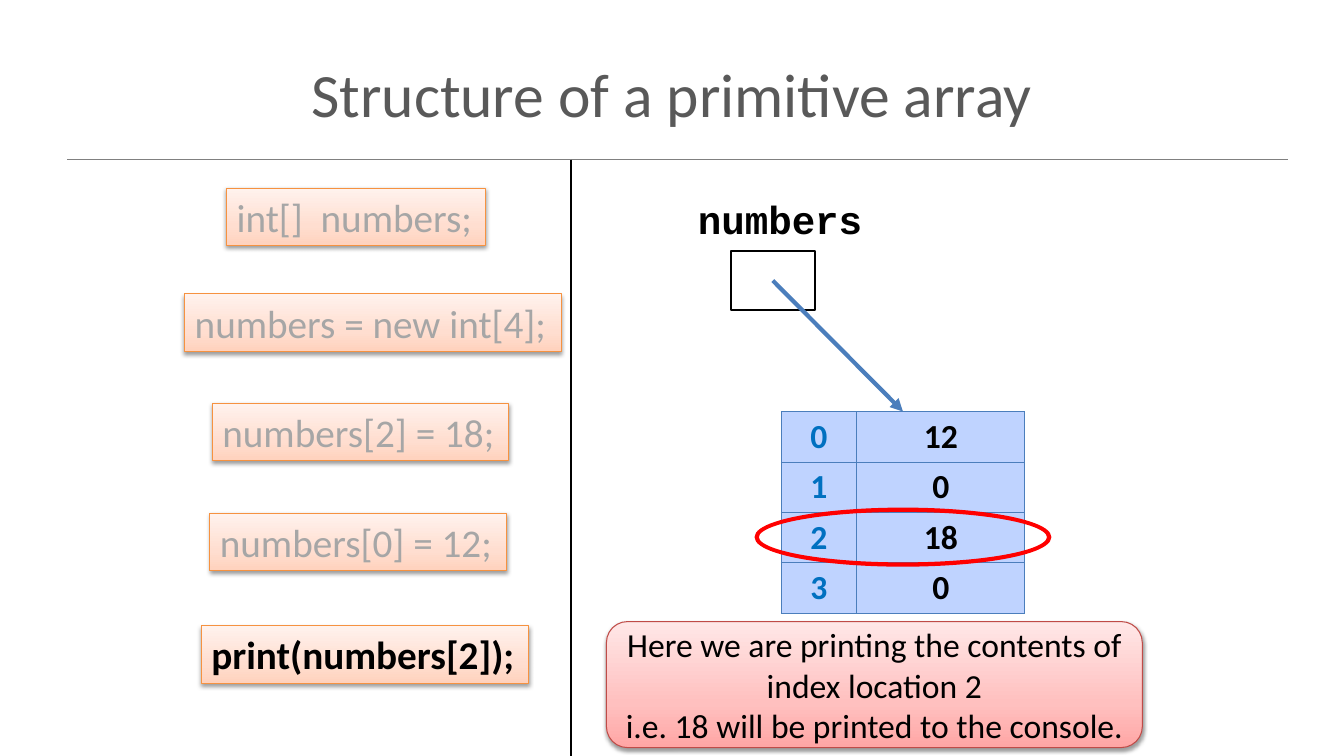
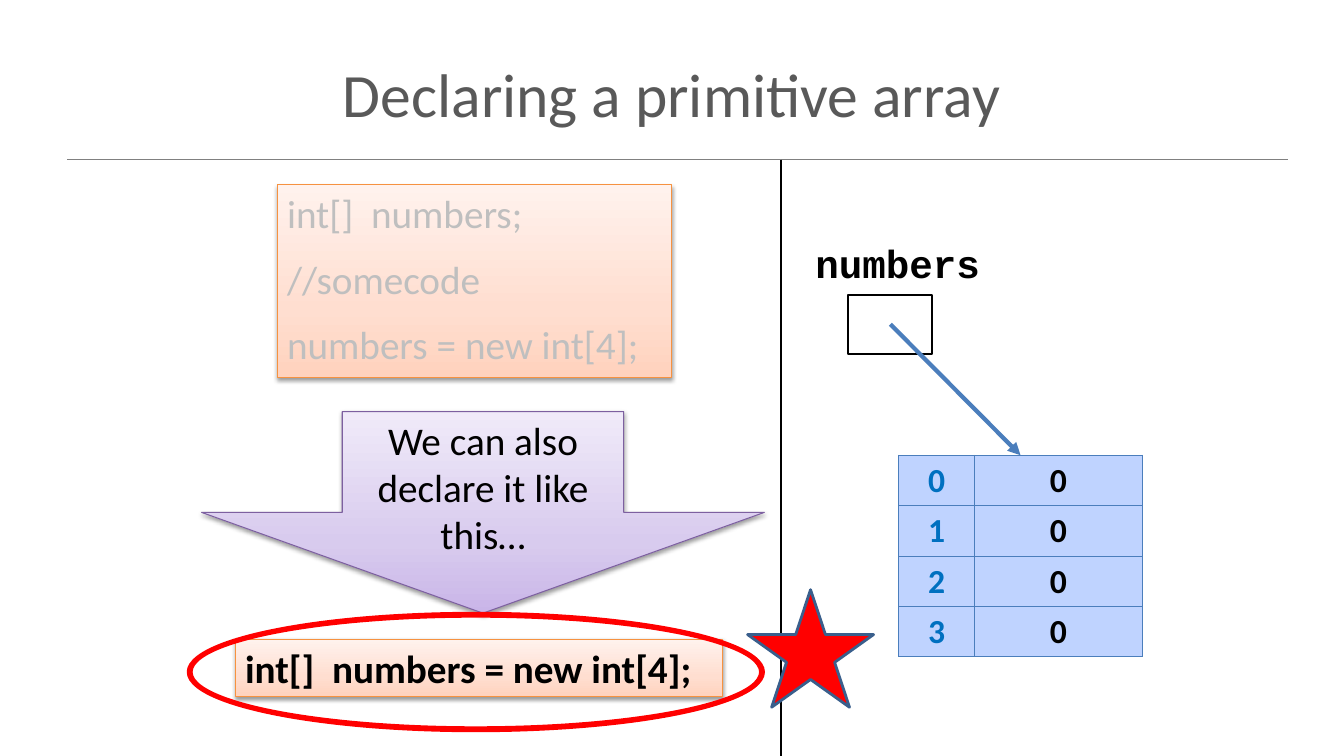
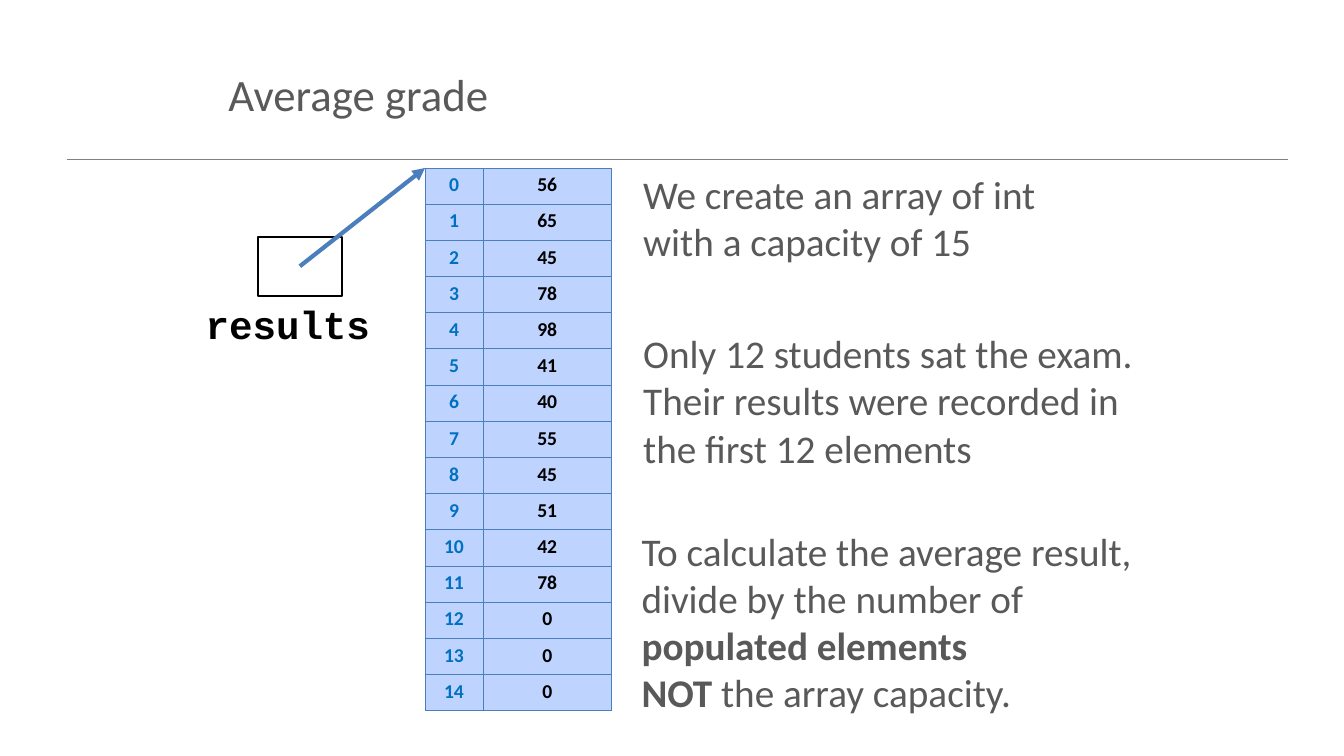
"""Build three slides on primitive arrays, laid out on a grid of 160 by 90 units."""
from copy import deepcopy

from lxml import etree
from pptx import Presentation
from pptx.dml.color import RGBColor
from pptx.enum.shapes import MSO_CONNECTOR, MSO_SHAPE
from pptx.enum.text import MSO_ANCHOR, PP_ALIGN
from pptx.oxml.ns import qn
from pptx.util import Inches, Pt

UNIT = Inches(1) // 12
COLUMNS, ROWS = 160, 90
TITLE_AREA = (8, 3.6, 144, 15)
RULE_ROW = 19
LINE_HEIGHT = 6.87
REFERENCE_SIZE = (10, 7)
STRAIGHT = MSO_CONNECTOR.STRAIGHT
RECT, ROUNDED = MSO_SHAPE.RECTANGLE, MSO_SHAPE.ROUNDED_RECTANGLE
DOWN_ARROW, STAR = MSO_SHAPE.DOWN_ARROW, MSO_SHAPE.STAR_5_POINT
RING = MSO_SHAPE.DONUT
LEFT, CENTER = PP_ALIGN.LEFT, PP_ALIGN.CENTER
TOP, MIDDLE = MSO_ANCHOR.TOP, MSO_ANCHOR.MIDDLE

SANS, MONO = "Calibri", "Courier New"
BLACK = RGBColor(0x00, 0x00, 0x00)
SLATE = RGBColor(0x59, 0x59, 0x59)
RULE_GRAY = RGBColor(0x80, 0x80, 0x80)
DIMMED = RGBColor(0xA6, 0xA6, 0xA6)
FADED = RGBColor(0xBF, 0xBF, 0xBF)
RED = RGBColor(0xFF, 0x00, 0x00)
STAR_EDGE = RGBColor(0x3A, 0x5F, 0x8C)
BLUE = RGBColor(0x4B, 0x7E, 0xBC)
INDEX_BLUE = RGBColor(0x00, 0x70, 0xC0)
CELL_BLUE = RGBColor(0xBF, 0xD3, 0xFF)
ORANGE_EDGE = RGBColor(0xF6, 0x92, 0x40)
ROSE_EDGE = RGBColor(0xBF, 0x4C, 0x48)
VIOLET_EDGE = RGBColor(0x7D, 0x60, 0xA0)
ORANGE = (RGBColor(0xFF, 0xD2, 0xBD), RGBColor(0xFF, 0xDE, 0xD0), RGBColor(0xFF, 0xF2, 0xED))
ROSE = (RGBColor(0xFF, 0xA6, 0xA5), RGBColor(0xFF, 0xC0, 0xBF), RGBColor(0xFF, 0xE7, 0xE7))
VIOLET = (RGBColor(0xC9, 0xB5, 0xE8), RGBColor(0xD8, 0xCB, 0xEE), RGBColor(0xF0, 0xEA, 0xF9))
GRADIENT_POSITIONS = (0, 0.35, 1)


def grid(*units):
    """Turn grid units into slide lengths."""
    return [round(unit * UNIT) for unit in units]


def write(frame, paragraphs, size=28, color=SLATE, font=SANS, align=LEFT,
          anchor=TOP, wraps=True, gap=0):
    """Write paragraphs, each a list of (text, bold) runs, into a text frame."""
    frame.word_wrap = wraps
    frame.vertical_anchor = anchor
    for number, runs in enumerate(paragraphs):
        paragraph = frame.add_paragraph() if number else frame.paragraphs[0]
        paragraph.alignment = align
        if number and gap:
            paragraph.space_before = Pt(gap)
        for text, bold in runs:
            for line_number, line in enumerate(text.split("\n")):
                if line_number:
                    paragraph.add_line_break()
                run = paragraph.add_run()
                run.text = line
                run.font.name, run.font.size = font, Pt(size)
                run.font.bold, run.font.color.rgb = bold, color


def add_line(slide, start, end, color, width, arrow=False):
    """Draw a straight line between two grid points."""
    line = slide.shapes.add_connector(STRAIGHT, *grid(*start, *end))
    line.line.color.rgb, line.line.width = color, Pt(width)
    properties = line.element.spPr
    if arrow:
        etree.SubElement(properties.find(qn("a:ln")), qn("a:tailEnd"), type="triangle")
    etree.SubElement(properties, qn("a:effectLst"))
    return line


def add_outline(slide, preset, area, edge, width, fill=None):
    """Draw a flat shape with an optional solid fill."""
    shape = slide.shapes.add_shape(preset, *grid(*area))
    shape.shadow.inherit = False
    shape.line.color.rgb, shape.line.width = edge, Pt(width)
    if fill is None:
        shape.fill.background()
    else:
        shape.fill.solid()
        shape.fill.fore_color.rgb = fill
    return shape


def add_panel(slide, preset, area, colors, edge):
    """Draw a gradient shape with a soft shadow beneath it."""
    panel = add_outline(slide, preset, area, edge, 0.75)
    panel.fill.gradient()
    panel.fill.gradient_angle = 90
    properties = panel.element.spPr
    stop_list = properties.find(".//" + qn("a:gsLst"))
    stop_list.append(deepcopy(stop_list[0]))
    for stop, position, color in zip(panel.fill.gradient_stops, GRADIENT_POSITIONS, colors):
        stop.position, stop.color.rgb = position, color
    shadow = etree.SubElement(properties.find(qn("a:effectLst")), qn("a:outerShdw"),
                              blurRad=str(Pt(3.1)), dist=str(Pt(1.6)),
                              dir="5400000", rotWithShape="0")
    black = etree.SubElement(shadow, qn("a:srgbClr"), val=str(BLACK))
    etree.SubElement(black, qn("a:alpha"), val="38000")
    return panel


def add_code(slide, area, lines, color=DIMMED, bold=False, wraps=False):
    """Add an orange box of code lines."""
    panel = add_panel(slide, RECT, area, ORANGE, ORANGE_EDGE)
    write(panel.text_frame, [[(line, bold)] for line in lines],
          color=color, wraps=wraps, gap=13)


def add_text(slide, area, runs, **style):
    """Add a plain text box with one paragraph."""
    write(slide.shapes.add_textbox(*grid(*area)).text_frame, [runs], **style)


def add_ring(slide, area):
    """Circle a part of the slide in red."""
    ring = add_outline(slide, RING, area, RED, 2, RED)
    ring.adjustments[0] = 0.026


def format_cell(cell, text, color, size):
    """Write one array cell with its borders and fill."""
    properties = cell._tc.get_or_add_tcPr()
    for side in ("a:lnL", "a:lnR", "a:lnT", "a:lnB"):
        border = etree.SubElement(properties, qn(side), w=str(Pt(0.75)))
        paint = etree.SubElement(border, qn("a:solidFill"))
        etree.SubElement(paint, qn("a:srgbClr"), val=str(BLUE))
    cell.fill.solid()
    cell.fill.fore_color.rgb = CELL_BLUE
    cell.margin_top, cell.margin_bottom = Inches(0.05), Inches(0.04)
    write(cell.text_frame, [[(text, True)]], size=size, color=color, align=CENTER)


def add_array(slide, corner, values, widths, row_height, size):
    """Add a table of indexes and values."""
    area = grid(*corner, sum(widths), row_height * len(values))
    table = slide.shapes.add_table(len(values), 2, *area).table
    table.first_row = table.horz_banding = False
    for column, width in zip(table.columns, grid(*widths)):
        column.width = width
    for index, value in enumerate(values):
        table.rows[index].height = grid(row_height)[0]
        format_cell(table.cell(index, 0), str(index), INDEX_BLUE, size)
        format_cell(table.cell(index, 1), str(value), BLACK, size)


def add_reference(slide, name, corner, label_corner, target):
    """Draw a named variable box with an arrow to its array."""
    add_outline(slide, RECT, (*corner, *REFERENCE_SIZE), BLACK, 1.5)
    add_text(slide, (*label_corner, 25, LINE_HEIGHT), [(name, True)], color=BLACK, font=MONO)
    center = [start + length / 2 for start, length in zip(corner, REFERENCE_SIZE)]
    add_line(slide, center, target, BLUE, 3, arrow=True)


def add_numbers_diagram(slide, column, row, values):
    """Draw the numbers variable and its four-element array."""
    widths = (9, 20)
    array_column, array_row = column + 6, row + 19.1
    add_array(slide, (array_column, array_row), values, widths, 6, 24)
    add_reference(slide, "numbers", (column, row), (column - 5.1, row - 7.2),
                  (array_column + sum(widths) / 2, array_row))


def add_slide(deck, title, area=TITLE_AREA, size=44, align=CENTER):
    """Add a title-only slide with a formatted title."""
    slide = deck.slides.add_slide(deck.slide_layouts[5])
    heading = slide.shapes.title
    heading.left, heading.top, heading.width, heading.height = grid(*area)
    write(heading.text_frame, [[(title, False)]], size=size, align=align, anchor=MIDDLE)
    return slide


def share_rule(slide):
    """Put the rule below the title on the layout that all slides use."""
    rule = add_line(slide, (8, RULE_ROW), (153.3, RULE_ROW), RULE_GRAY, 1).element
    rule.find(".//" + qn("p:cNvPr")).set("id", "99")
    slide.slide_layout.shapes.element.append(rule)


def add_divider(slide, column):
    """Split the slide below the title rule."""
    add_line(slide, (column, RULE_ROW), (column, ROWS), BLACK, 1)


def build_structure(deck):
    """Build the slide that prints one element."""
    slide = add_slide(deck, "Structure of a primitive array")
    share_rule(slide)
    add_divider(slide, 68)
    statements = (
        (27, 22.4, 30.85, "int[]  numbers;"),
        (22, 35, 44.8, "numbers = new int[4];"),
        (25.3, 48, 35.3, "numbers[2] = 18;"),
        (25, 61.1, 35.3, "numbers[0] = 12;"),
    )
    for column, row, width, code in statements:
        add_code(slide, (column, row, width, LINE_HEIGHT), [code])
    add_code(slide, (24, 74.5, 38.9, LINE_HEIGHT), ["print(numbers[2]);"], BLACK, True)
    add_numbers_diagram(slide, 87, 29.9, (12, 0, 18, 0))
    remark = add_panel(slide, ROUNDED, (72.2, 74, 63.8, 15), ROSE, ROSE_EDGE)
    write(remark.text_frame,
          [[("Here we are printing the contents of index location 2\n"
             "i.e. 18 will be printed to the console.", False)]],
          size=24, color=BLACK, align=CENTER, anchor=MIDDLE)
    add_ring(slide, (90, 60.6, 35, 6.7))


def build_declaration(deck):
    """Build the slide on declaring an array in one line."""
    slide = add_slide(deck, "Declaring a primitive array")
    add_divider(slide, 93)
    add_code(slide, (33, 22, 47, 22.9),
             ["int[]  numbers;", "//somecode", "numbers = new int[4];"], FADED, wraps=True)
    add_numbers_diagram(slide, 101, 35.1, (0, 0, 0, 0))
    bridge = add_panel(slide, DOWN_ARROW, (24, 49, 67, 24), VIOLET, VIOLET_EDGE)
    write(bridge.text_frame, [[("We can also declare it like this…", False)]],
          color=BLACK, align=CENTER, anchor=MIDDLE)
    add_code(slide, (28, 76.1, 58, LINE_HEIGHT), ["int[]  numbers = new int[4];"],
             BLACK, True, wraps=True)
    add_ring(slide, (22.4, 73, 68.5, 14))
    add_outline(slide, STAR, (89, 70.2, 15, 14), STAR_EDGE, 2, RED)


def build_average(deck):
    """Build the slide on averaging a partly filled array."""
    slide = add_slide(deck, "Average grade", (26, 3.6, 108, 15), 32, LEFT)
    results = (56, 65, 45, 78, 98, 41, 40, 55, 45, 51, 42, 78, 0, 0, 0)
    array_corner = (50.6, 20)
    add_array(slide, array_corner, results, (6.9, 15.3), 4.31, 14)
    add_reference(slide, "results", (30.7, 28.2), (23.3, 35.2), array_corner)
    explanations = (
        ((75.4, 18.4, 60, 15),
         [("We create an array of int\nwith a capacity of 15", False)]),
        ((75.4, 35.6, 62.6, 24.1),
         [("Only 12 students sat the exam.\n"
           "Their results were recorded in the first 12 elements", False)]),
        ((75.2, 62, 64.3, 24),
         [("To calculate the average result,\ndivide by the number of ", False),
          ("populated elements\nNOT", True), (" the array capacity.", False)]),
    )
    for area, runs in explanations:
        add_text(slide, area, runs, anchor=MIDDLE)


def main():
    """Build and save the presentation."""
    deck = Presentation()
    deck.slide_width, deck.slide_height = grid(COLUMNS, ROWS)
    build_structure(deck)
    build_declaration(deck)
    build_average(deck)
    deck.save("out.pptx")


if __name__ == "__main__":
    main()
